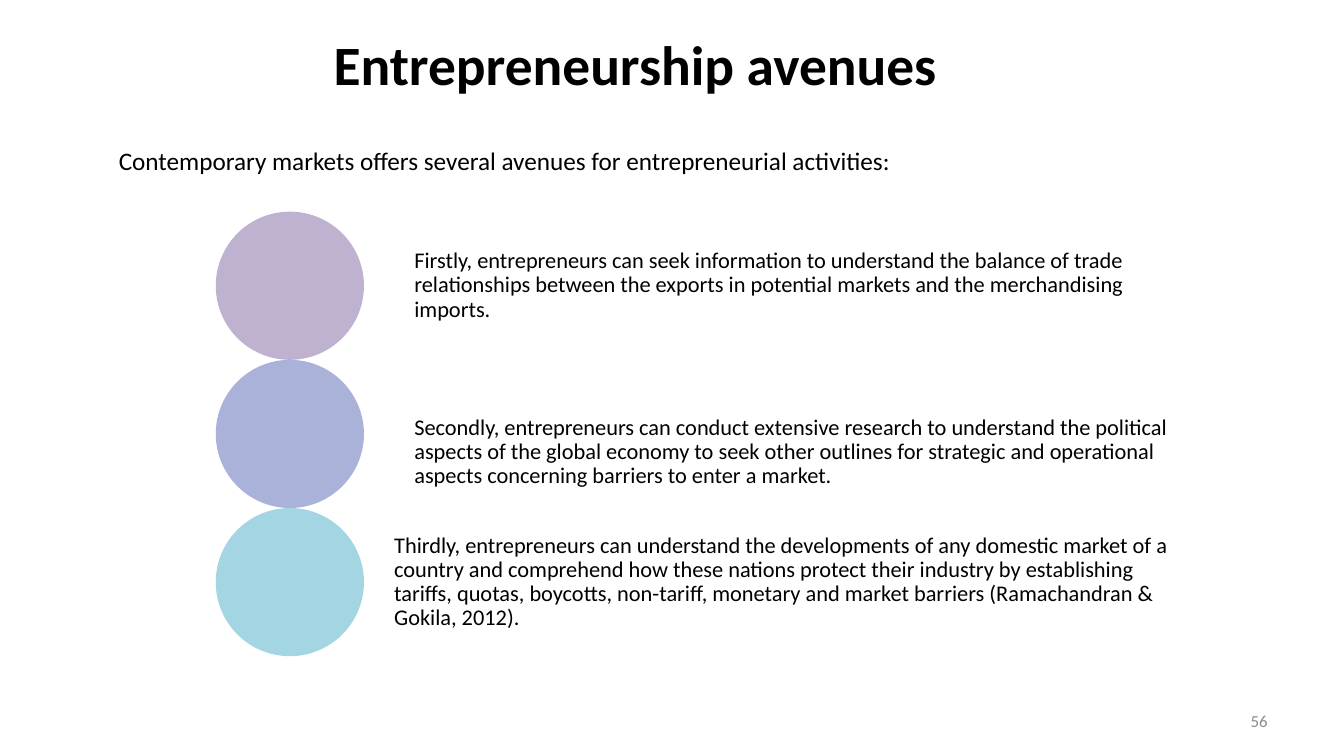
from lxml import etree
from pptx import Presentation
from pptx.dml.color import RGBColor
from pptx.enum.shapes import MSO_SHAPE as Shape
from pptx.enum.text import MSO_ANCHOR as Anchor, PP_ALIGN as Align
from pptx.oxml.ns import qn
from pptx.util import Inches, Pt

TITLE = "Entrepreneurship avenues"
INTRO = "Contemporary markets offers several avenues for entrepreneurial activities:"
PAGE_NUMBER = "56"
AVENUES = [
    ("8064A2", 4.11, 0,
     "Firstly, entrepreneurs can seek information to understand the balance of trade "
     "relationships between the exports in potential markets and the merchandising imports."),
    ("5767B4", 4.11, 0.18,
     "Secondly, entrepreneurs can conduct extensive research to understand the political "
     "aspects of the global economy to seek other outlines for strategic and operational "
     "aspects concerning barriers to enter a market."),
    ("4BACC6", 3.91, 0,
     "Thirdly, entrepreneurs can understand the developments of any domestic market of a "
     "country and comprehend how these nations protect their industry by establishing "
     "tariffs, quotas, boycotts, non-tariff, monetary and market barriers "
     "(Ramachandran & Gokila, 2012)."),
]
CIRCLE_LEFT, CIRCLE_TOP, DIAMETER = 2.14, 2.1, 1.47
TEXT_WIDTH = 7.83


def set_fill(shape, color, opacity):
    shape.fill.solid()
    shape.fill.fore_color.rgb = RGBColor.from_string(color)
    color_element = shape.fill._xPr.find(qn("a:solidFill"))[0]
    etree.SubElement(color_element, qn("a:alpha")).set("val", str(opacity * 1000))


def add_circle(slide, left, top, diameter, color):
    circle = slide.shapes.add_shape(
        Shape.OVAL, Inches(left), Inches(top), Inches(diameter), Inches(diameter))
    circle.shadow.inherit = False
    circle.line.fill.background()
    set_fill(circle, color, 50)


def add_text(slide, box, text, size, color="000000", bold=False, align=Align.LEFT,
             anchor=Anchor.MIDDLE, margins=(0.1, 0.05), line_spacing=1.0):
    frame = slide.shapes.add_textbox(*map(Inches, box)).text_frame
    frame.word_wrap = True
    frame.vertical_anchor = anchor
    frame.margin_left = frame.margin_right = Inches(margins[0])
    frame.margin_top = frame.margin_bottom = Inches(margins[1])
    paragraph = frame.paragraphs[0]
    paragraph.alignment = align
    paragraph.line_spacing = line_spacing
    run = paragraph.add_run()
    run.text = text
    run.font.name = "Calibri"
    run.font.size = Pt(size)
    run.font.bold = bold
    run.font.color.rgb = RGBColor.from_string(color)


def main():
    presentation = Presentation()
    presentation.slide_width = Inches(13.33)
    presentation.slide_height = Inches(7.5)
    slide = presentation.slides.add_slide(presentation.slide_layouts[6])

    add_text(slide, (0.92, 0.22, 10.76, 0.81), TITLE, 39.6, bold=True, align=Align.CENTER)
    add_text(slide, (1.08, 1.39, 10.87, 0.4), INTRO, 18, anchor=Anchor.TOP)
    for index, (color, text_left, text_drop, text) in enumerate(AVENUES):
        top = CIRCLE_TOP + index * DIAMETER
        add_circle(slide, CIRCLE_LEFT, top, DIAMETER, color)
        add_text(slide, (text_left, top + text_drop, TEXT_WIDTH, DIAMETER), text, 16,
                 margins=(0, 0.02), line_spacing=0.9)
    add_text(slide, (9.56, 6.95, 3.11, 0.4), PAGE_NUMBER, 12, "8C8C8C", align=Align.RIGHT)

    presentation.save("out.pptx")


if __name__ == "__main__":
    main()
